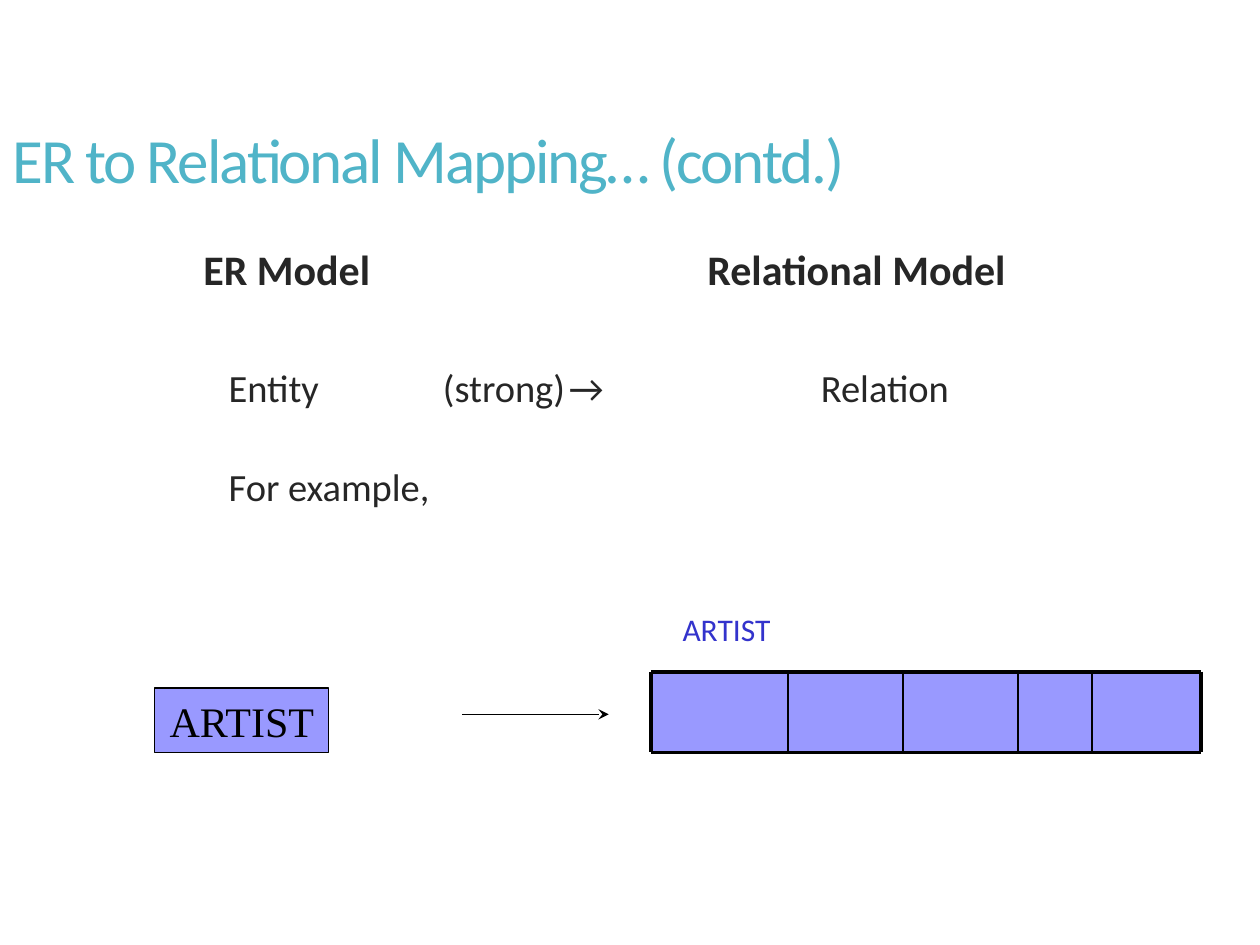
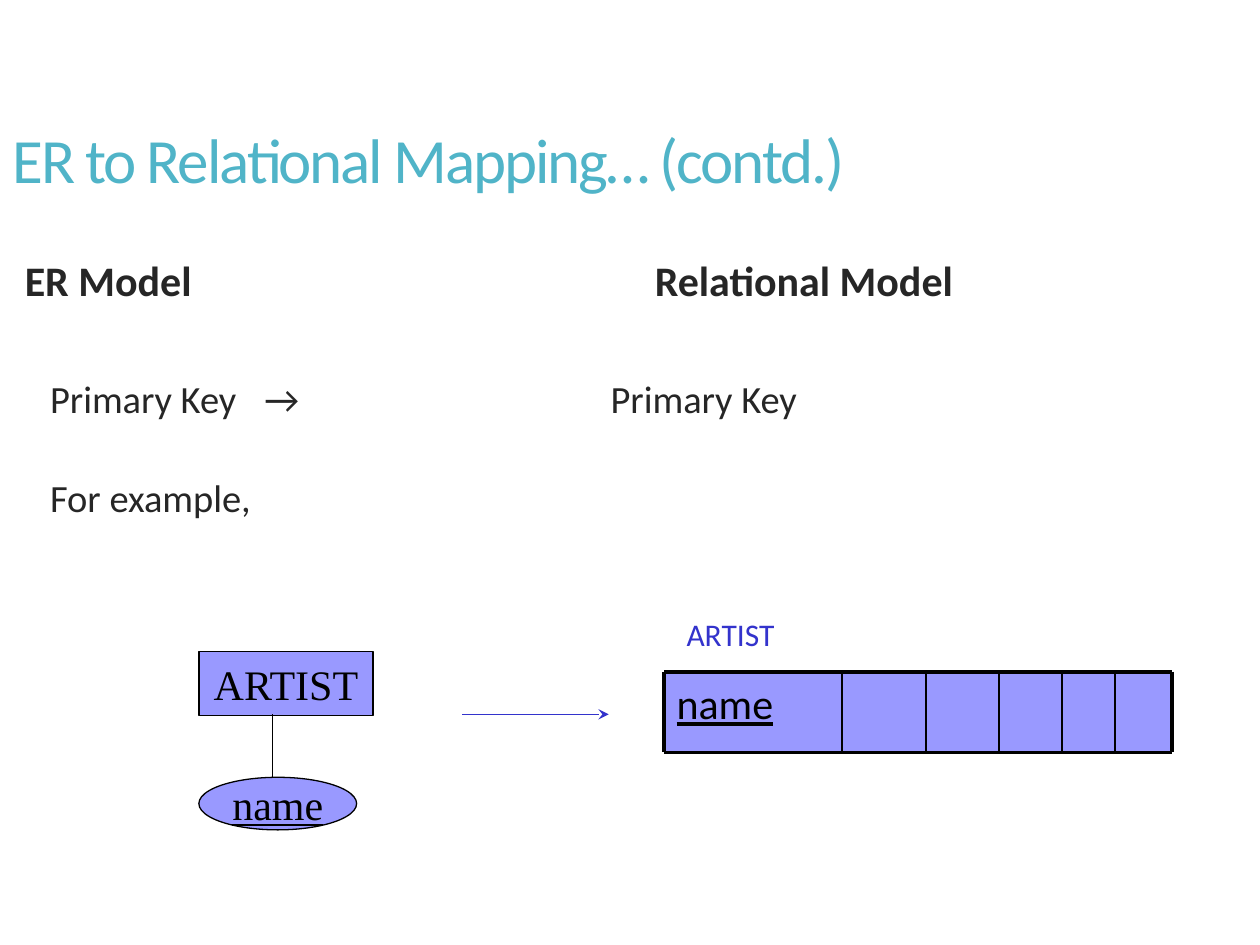
from itertools import pairwise

from lxml.etree import SubElement
from pptx import Presentation
from pptx.dml.color import RGBColor
from pptx.enum.shapes import MSO_CONNECTOR as CONN, MSO_SHAPE as SHAPE
from pptx.enum.text import MSO_ANCHOR as ANCHOR, PP_ALIGN as ALIGN
from pptx.oxml.ns import qn
from pptx.util import Cm, Pt

COLORS = {
    "title": "50B4C8",
    "body": "262626",
    "fill": "9999FF",
    "line": "000000",
    "accent": "3333CC",
}
SANS, SERIF = "Calibri", "Times New Roman"
TITLE = "ER to Relational Mapping… (contd.)"
ROW_TOP, ROW_HEIGHT = 13.54, 1.63


def rgb(name):
    return RGBColor.from_string(COLORS[name])


def add_run(p, text, size, color, font=SANS, bold=False, underline=False):
    r = p.add_run()
    r.text = text
    f = r.font
    f.name, f.size, f.bold, f.underline = font, Pt(size), bold, underline
    f.color.rgb = rgb(color)
    return r


def add_text_frame(s, left, top, width, height):
    tf = s.shapes.add_textbox(Cm(left), Cm(top), Cm(width), Cm(height)).text_frame
    tf.word_wrap = True
    return tf


def add_title(s):
    tf = add_text_frame(s, 0, 1.7, 22.86, 3.18)
    tf.vertical_anchor = ANCHOR.MIDDLE
    p = tf.paragraphs[0]
    p.line_spacing = 0.9
    r = add_run(p, TITLE, 36, "title")
    r.font._element.set("spc", "-120")


def set_tabs(p, stops):
    tabs = SubElement(p._p.get_or_add_pPr(), qn("a:tabLst"))
    for stop in stops:
        SubElement(tabs, qn("a:tab"), pos=str(int(Cm(stop))), algn="l")


def add_mapping(s, left, top, width, heading_stop, terms):
    """Add the two headings, the mapped terms as (tab stop, text), and the lead-in."""
    lines = [
        ([(0.25, "ER Model"), (heading_stop, "Relational Model")], 24, 0),
        (terms, 22, 44),
        ([(0.76, "For example,")], 22, 34),
    ]
    tf = add_text_frame(s, left, top, width, 7)
    for i, (pieces, size, space) in enumerate(lines):
        p = tf.add_paragraph() if i else tf.paragraphs[0]
        set_tabs(p, [stop for stop, _ in pieces])
        p.line_spacing = 0.85
        p.space_before = Pt(space)
        for _, text in pieces:
            add_run(p, "\t" + text, size, "body", bold=i == 0)


def add_filled(s, kind, left, top, width, height):
    sp = s.shapes.add_shape(kind, Cm(left), Cm(top), Cm(width), Cm(height))
    sp.shadow.inherit = False
    sp.fill.solid()
    sp.fill.fore_color.rgb = rgb("fill")
    sp.line.fill.background()
    return sp


def add_node(s, kind, left, top, width, height, text, underline=False):
    """Add an outlined entity or attribute of the ER diagram."""
    sp = add_filled(s, kind, left, top, width, height)
    sp.line.color.rgb = rgb("line")
    sp.line.width = Pt(0.75)
    tf = sp.text_frame
    tf.word_wrap = False
    tf.vertical_anchor = ANCHOR.MIDDLE
    tf.margin_top = tf.margin_bottom = 0
    p = tf.paragraphs[0]
    p.alignment = ALIGN.CENTER
    add_run(p, text, 24, "line", SERIF, underline=underline)


def add_line(s, x1, y1, x2, y2, width=0.75, color="line", arrow=False):
    cx = s.shapes.add_connector(CONN.STRAIGHT, Cm(x1), Cm(y1), Cm(x2), Cm(y2))
    cx.line.color.rgb = rgb(color)
    cx.line.width = Pt(width)
    if arrow:
        SubElement(cx.line._get_or_add_ln(), qn("a:tailEnd"), type="stealth")
    SubElement(cx._element.spPr, qn("a:effectLst"))


def add_mapping_arrow(s, color):
    add_line(s, 9.32, 14.4, 12.27, 14.4, color=color, arrow=True)


def add_relation(s, edges, label_left, label_top, key=None):
    """Add a relation as a row of cells between the given edges, with its name above."""
    bottom = ROW_TOP + ROW_HEIGHT
    for i, (left, right) in enumerate(pairwise(edges)):
        sp = add_filled(s, SHAPE.RECTANGLE, left, ROW_TOP, right - left, ROW_HEIGHT)
        if key and i == 0:
            tf = sp.text_frame
            tf.vertical_anchor = ANCHOR.TOP
            p = tf.paragraphs[0]
            p.alignment = ALIGN.LEFT
            add_run(p, key, 24, "line", underline=True)
    for y in (ROW_TOP, bottom):
        add_line(s, edges[0], y, edges[-1], y, 2.25)
    for x in edges:
        outer = x in (edges[0], edges[-1])
        add_line(s, x, ROW_TOP, x, bottom, 2.25 if outer else 1)
    tf = add_text_frame(s, label_left, label_top, 2.79, 1.02)
    add_run(tf.paragraphs[0], "ARTIST", 18, "accent")


def add_entity_slide(prs):
    s = prs.slides.add_slide(prs.slide_layouts[6])
    add_title(s)
    terms = [(0.76, "Entity"), (5.08, "(strong)"), (7.62, "→"), (12.7, "Relation")]
    add_mapping(s, 3.6, 4.95, 21.8, 10.41, terms)
    add_node(s, SHAPE.RECTANGLE, 3.12, 13.87, 3.51, 1.3, "ARTIST")
    add_mapping_arrow(s, "line")
    add_relation(s, [13.13, 15.88, 18.21, 20.52, 22.02, 24.21], 13.51, 12.17)


def add_key_slide(prs):
    s = prs.slides.add_slide(prs.slide_layouts[6])
    add_title(s)
    terms = [(0.76, "Primary Key"), (5.08, "→"), (12.06, "Primary Key")]
    add_mapping(s, 0, 5.16, 24.13, 12.95, terms)
    add_node(s, SHAPE.RECTANGLE, 4.01, 13.13, 3.51, 1.3, "ARTIST")
    add_node(s, SHAPE.OVAL, 4.01, 15.67, 3.18, 1.06, "name", underline=True)
    add_line(s, 5.5, 14.4, 5.5, 15.67)
    add_mapping_arrow(s, "accent")
    edges = [13.39, 16.97, 18.67, 20.14, 21.41, 22.48, 23.62]
    add_relation(s, edges, 13.59, 12.27, key="name")


def main():
    prs = Presentation()
    prs.slide_width, prs.slide_height = Cm(25.4), Cm(19.05)
    add_entity_slide(prs)
    add_key_slide(prs)
    prs.save("out.pptx")


if __name__ == "__main__":
    main()
